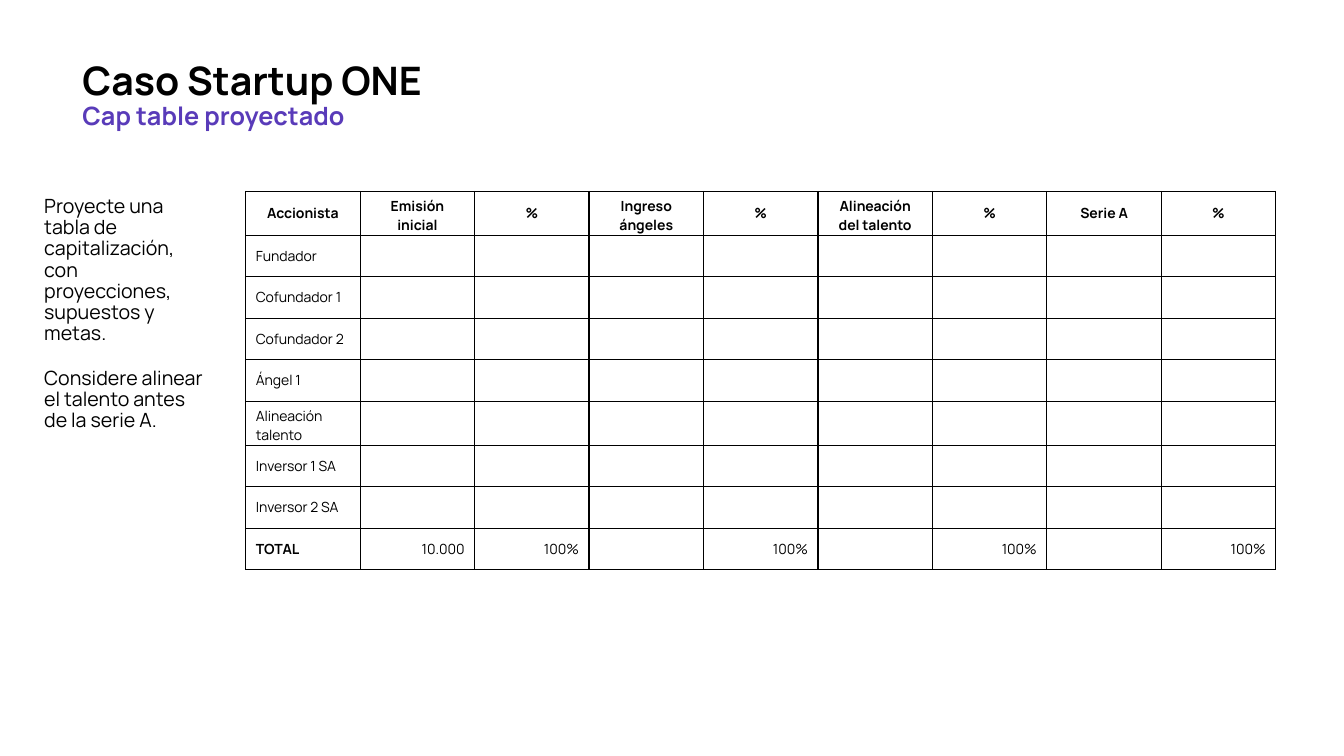
import dataclasses

import pptx
import pptx.dml.color
import pptx.enum.text
import pptx.oxml
import pptx.oxml.ns
import pptx.util
from lxml import etree

Pt = pptx.util.Pt
ALIGN = pptx.enum.text.PP_ALIGN


@dataclasses.dataclass(frozen=True)
class Theme:
    font: str = "Manrope"
    ink: str = "000000"
    accent: str = "593BB9"
    title_size: int = 28
    subtitle_size: int = 18
    body_size: int = 14
    table_size: int = 10
    border_width: int = 1
    line_spacing: float = 0.9


class SlideBuilder:
    def __init__(self, slide, theme):
        self.slide = slide
        self.theme = theme

    def style(self, paragraph, size, color, bold=False):
        font = paragraph.font
        font.name = self.theme.font
        font.size = Pt(size)
        font.bold = bold
        font.color.rgb = pptx.dml.color.RGBColor.from_string(color)

    def text_box(self, left, top, width, height, lines, gap=0):
        """Each line is (text, size, color, bold); gap separates paragraphs."""
        shape = self.slide.shapes.add_textbox(Pt(left), Pt(top), Pt(width), Pt(height))
        frame = shape.text_frame
        frame.word_wrap = True
        for index, (text, size, color, bold) in enumerate(lines):
            paragraph = frame.add_paragraph() if index else frame.paragraphs[0]
            paragraph.text = text
            paragraph.line_spacing = self.theme.line_spacing
            paragraph.space_before = Pt(gap if index else 0)
            self.style(paragraph, size, color, bold)

    def border(self, cell):
        properties = cell._tc.get_or_add_tcPr()
        for position, side in enumerate(("a:lnL", "a:lnR", "a:lnT", "a:lnB")):
            line = etree.Element(pptx.oxml.ns.qn(side), w=str(Pt(self.theme.border_width)))
            fill = etree.SubElement(line, pptx.oxml.ns.qn("a:solidFill"))
            etree.SubElement(fill, pptx.oxml.ns.qn("a:srgbClr"), val=self.theme.ink)
            properties.insert(position, line)

    def cell(self, cell, text, align, bold):
        cell.fill.background()
        cell.vertical_anchor = pptx.enum.text.MSO_ANCHOR.MIDDLE
        paragraph = cell.text_frame.paragraphs[0]
        paragraph.alignment = align
        if text:
            paragraph.text = text
        else:
            # An empty cell keeps the table's type size, so its row does not grow
            etree.SubElement(paragraph._p, pptx.oxml.ns.qn("a:endParaRPr"),
                             sz=str(self.theme.table_size * 100))
        self.style(paragraph, self.theme.table_size, self.theme.ink, bold)
        self.border(cell)

    def table(self, left, top, width, height, rows):
        row_count, column_count = len(rows), len(rows[0])
        table = self.slide.shapes.add_table(
            row_count, column_count, Pt(left), Pt(top), Pt(width), Pt(height)).table
        table.first_row = table.horz_banding = False
        for row_index, row in enumerate(rows):
            for column_index, text in enumerate(row):
                header = row_index == 0
                label = column_index == 0
                total = row_index == row_count - 1
                align = ALIGN.CENTER if header else ALIGN.LEFT if label else ALIGN.RIGHT
                self.cell(table.cell(row_index, column_index), text, align,
                          header or (total and label))


HEADERS = ["Accionista", "Emisión inicial", "%", "Ingreso ángeles", "%",
           "Alineación del talento", "%", "Serie A", "%"]
SHAREHOLDERS = ["Fundador", "Cofundador 1", "Cofundador 2", "Ángel 1",
                "Alineación talento", "Inversor 1 SA", "Inversor 2 SA"]
TOTALS = ["TOTAL", "10.000", "100%"] + ["", "100%"] * 3


def main():
    presentation = pptx.Presentation()
    presentation.slide_width = Pt(960)
    presentation.slide_height = Pt(540)
    theme = Theme()
    slide = presentation.slides.add_slide(presentation.slide_layouts[6])
    builder = SlideBuilder(slide, theme)

    # Heading
    builder.text_box(51.8, 40.3, 871, 65.5, [
        ("Caso Startup ONE", theme.title_size, theme.ink, True),
        ("Cap table proyectado", theme.subtitle_size, theme.accent, True),
    ])

    # Capitalization table
    blanks = [""] * (len(HEADERS) - 1)
    builder.table(175.5, 136.8, 735.8, 267,
                  [HEADERS] + [[name] + blanks for name in SHAREHOLDERS] + [TOTALS])

    # Instructions
    builder.text_box(24.5, 136.8, 131.8, 193.7, [
        (text, theme.body_size, theme.ink, False) for text in (
            "Proyecte una tabla de capitalización, con proyecciones, supuestos y metas.",
            "Considere alinear el talento antes de la serie A.")
    ], gap=17)

    presentation.save("out.pptx")


if __name__ == "__main__":
    main()
